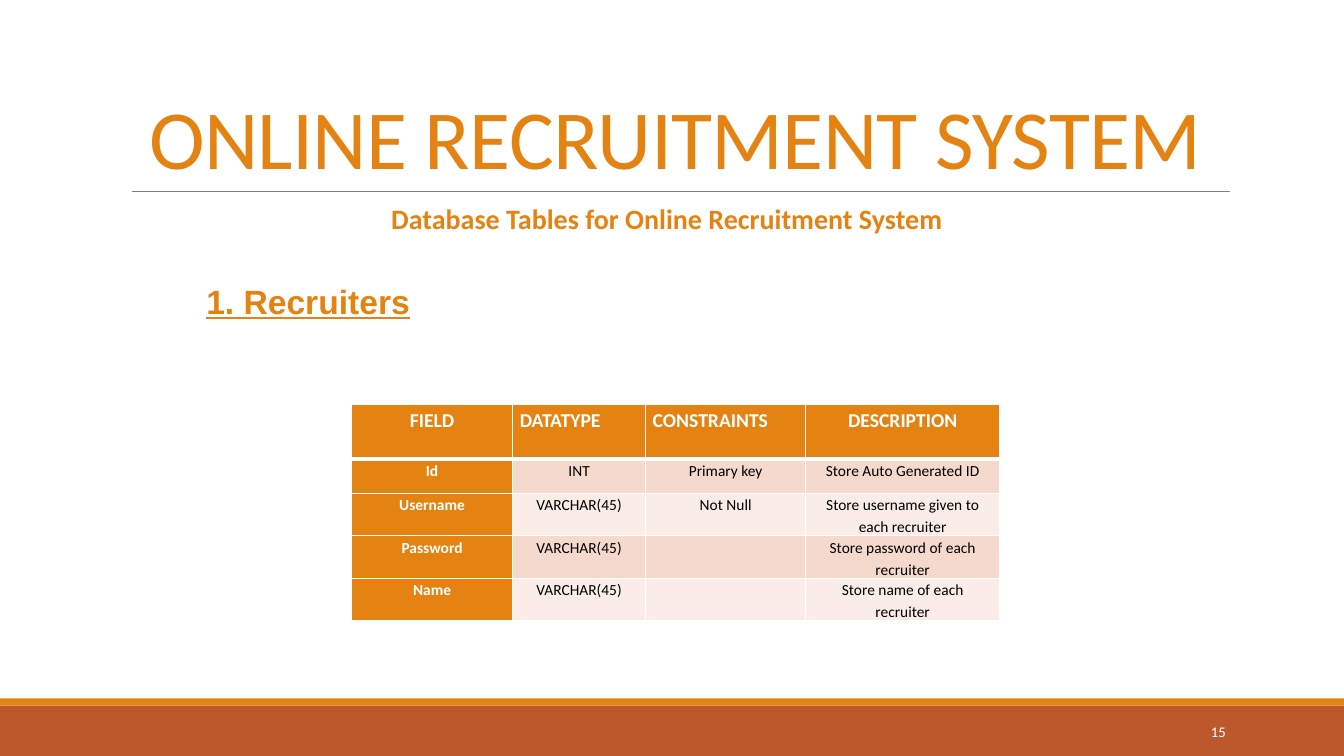
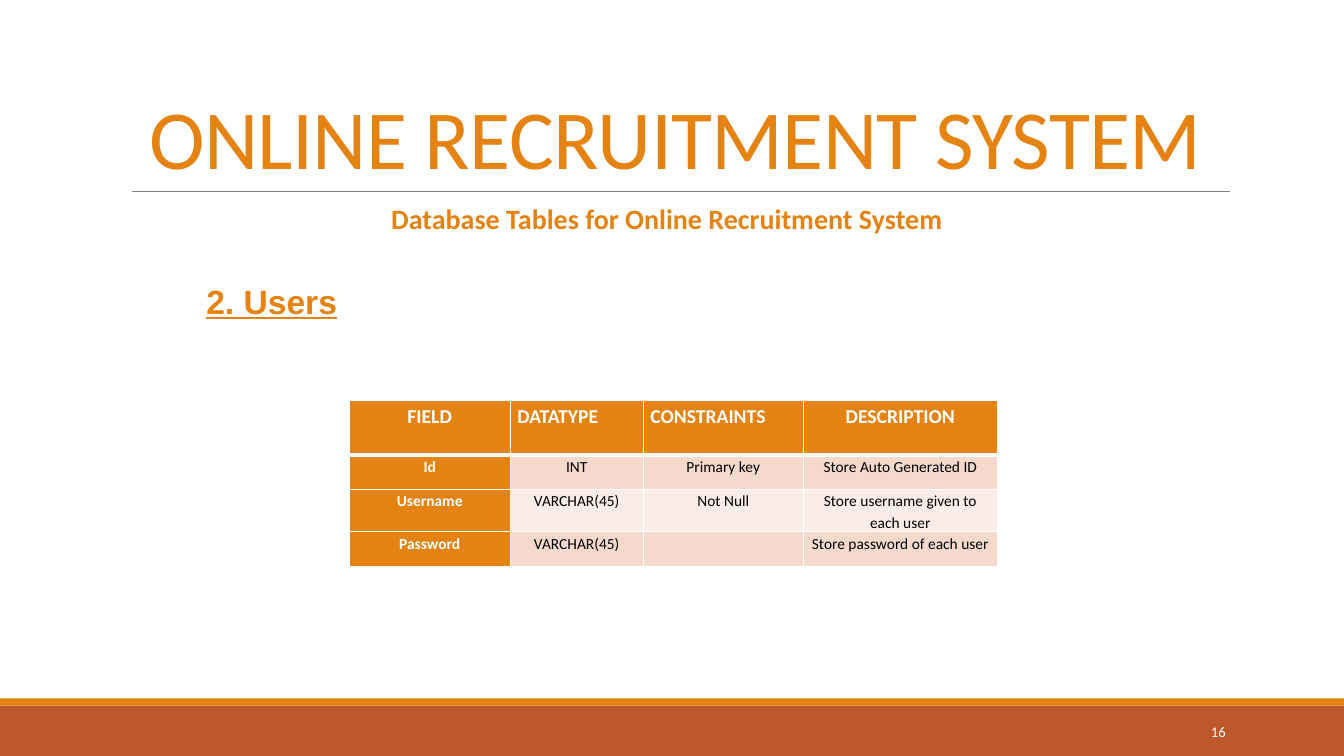
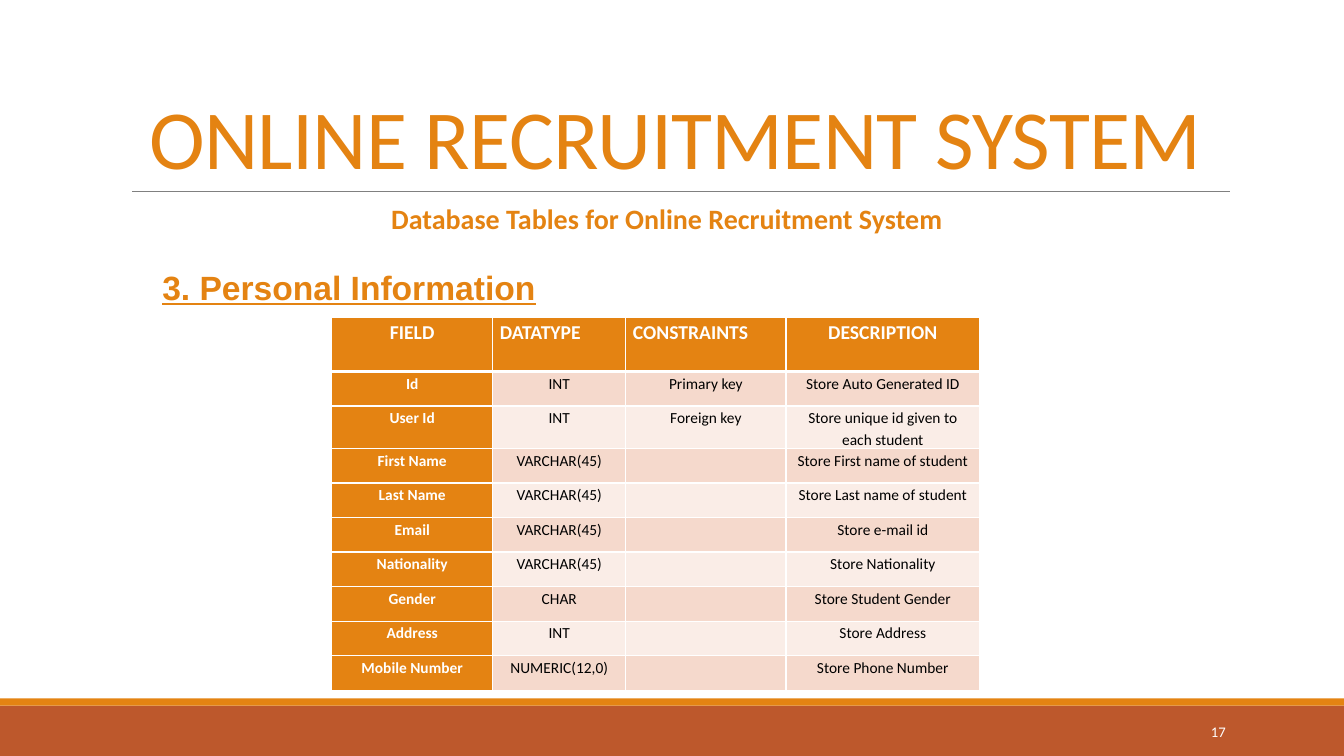
"""Build three slides that list the database tables of a recruitment system."""
from lxml.etree import SubElement
from pptx import Presentation
from pptx.dml.color import RGBColor
from pptx.enum.shapes import MSO_CONNECTOR, MSO_SHAPE
from pptx.enum.text import MSO_ANCHOR, MSO_AUTO_SIZE, PP_ALIGN
from pptx.oxml.ns import qn
from pptx.util import Cm, Pt

ORANGE, RUST, GRAY = "E48312", "BD582C", "808080"
WHITE, BLACK = "FFFFFF", "000000"
TINTS = ["F5D9CC", "FAEDE7"]
WIDTHS = [4.06, 3.35, 4.04, 4.88]
HEADS = ["FIELD", "DATATYPE", "CONSTRAINTS", "DESCRIPTION"]
LEFT, MID, RIGHT = PP_ALIGN.LEFT, PP_ALIGN.CENTER, PP_ALIGN.RIGHT

TABLES = [
    ("1. Recruiters", (4.95, 6.96, 5.69), (8.86, 10.2), [
        ["Id", "INT", "Primary key", "Store Auto Generated ID"],
        ["Username", "VARCHAR(45)", "Not Null", "Store username given to each recruiter"],
        ["Password", "VARCHAR(45)", "", "Store password of each recruiter"],
        ["Name", "VARCHAR(45)", "", "Store name of each recruiter"],
    ]),
    ("2. Users", (4.95, 6.96, 3.84), (8.8, 10.1), [
        ["Id", "INT", "Primary key", "Store Auto Generated ID"],
        ["Username", "VARCHAR(45)", "Not Null", "Store username given to each user"],
        ["Password", "VARCHAR(45)", "", "Store password of each user"],
    ]),
    ("3. Personal Information", (3.84, 6.6, 10), (8.36, 8), [
        ["Id", "INT", "Primary key", "Store Auto Generated ID"],
        ["User Id", "INT", "Foreign key", "Store unique id given to each student"],
        ["First Name", "VARCHAR(45)", "", "Store First name of student"],
        ["Last Name", "VARCHAR(45)", "", "Store Last name of student"],
        ["Email", "VARCHAR(45)", "", "Store e-mail id"],
        ["Nationality", "VARCHAR(45)", "", "Store Nationality"],
        ["Gender", "CHAR", "", "Store Student Gender"],
        ["Address", "INT", "", "Store Address"],
        ["Mobile Number", "NUMERIC(12,0)", "", "Store Phone Number"],
    ]),
]


def hue(code):
    return RGBColor.from_string(code)


def write(frame, text, size, color, align=LEFT, bold=False, face="Calibri"):
    para = frame.paragraphs[0]
    para.alignment = align
    run = para.add_run()
    run.text = text
    run.font.size, run.font.name, run.font.bold = Pt(size), face, bold
    run.font.color.rgb = hue(color)
    return para, run


prs = Presentation()
prs.slide_width, prs.slide_height = Cm(33.87), Cm(19.05)
layout = prs.slide_layouts[5]
slides = [prs.slides.add_slide(layout) for _ in TABLES]

shapes = slides[0].shapes
parts = []
for top, height, color in [(17.78, 1.27, RUST), (17.6, 0.18, ORANGE)]:
    band = shapes.add_shape(MSO_SHAPE.RECTANGLE, 0, Cm(top), Cm(33.87), Cm(height))
    band.shadow.inherit = False
    band.fill.solid()
    band.fill.fore_color.rgb = hue(color)
    band.line.fill.background()
    parts.append(band)
rule = shapes.add_connector(MSO_CONNECTOR.STRAIGHT, Cm(3.33), Cm(4.82), Cm(31), Cm(4.82))
rule.line.color.rgb = hue(GRAY)
rule.line.width = Pt(0.5)
SubElement(rule.element.spPr, qn("a:effectLst"))
parts.append(rule)
for num, part in enumerate(parts, 20):
    part.element.xpath(".//p:cNvPr")[0].set("id", str(num))
    layout.shapes.element.append(part.element)

for page, (slide, (name, spot, place, rows)) in enumerate(zip(slides, TABLES), 15):
    shapes = slide.shapes
    title = shapes.title
    title.left, title.top, title.width, title.height = Cm(3.05), Cm(0.79), Cm(27.94), Cm(4.04)
    title.text_frame.auto_size = MSO_AUTO_SIZE.NONE
    title.text_frame.vertical_anchor = MSO_ANCHOR.BOTTOM
    para, run = write(title.text_frame, "ONLINE RECRUITMENT SYSTEM", 60, ORANGE, MID)
    para.line_spacing = 0.85
    run.font._element.set("spc", "-50")

    frame = shapes.add_textbox(Cm(27.51), Cm(17.93), Cm(3.63), Cm(1.02)).text_frame
    frame.vertical_anchor = MSO_ANCHOR.MIDDLE
    write(frame, str(page), 10.5, WHITE, RIGHT)

    frame = shapes.add_textbox(Cm(4.27), Cm(4.95), Cm(25.07), Cm(1.12)).text_frame
    frame.word_wrap = True
    write(frame, "Database Tables for Online Recruitment System", 20, ORANGE, MID, True)

    left, top, width = spot
    frame = shapes.add_textbox(Cm(left), Cm(top), Cm(width), Cm(1.27)).text_frame
    frame.word_wrap = False
    para, run = write(frame, name, 24, ORANGE, LEFT, True, "Arial")
    run.font.underline = True

    left, top = place
    table = shapes.add_table(len(rows) + 1, len(HEADS), Cm(left), Cm(top),
                             Cm(sum(WIDTHS)), Cm(1.36 + 0.87 * len(rows))).table
    for col, width in zip(table.columns, WIDTHS):
        col.width = Cm(width)
    for r, row in enumerate([HEADS] + rows):
        table.rows[r].height = Cm(0.87 if r else 1.36)
        for c, text in enumerate(row):
            cell = table.cell(r, c)
            cell.margin_left = cell.margin_right = Cm(0.18)
            cell.margin_top = cell.margin_bottom = 0
            props = cell._tc.get_or_add_tcPr()
            for side in "LRTB":
                thick = (r, side) in [(0, "B"), (1, "T")]
                edge = SubElement(props, qn("a:ln" + side), w=str(Pt(3 if thick else 1)))
                fill = SubElement(edge, qn("a:solidFill"))
                SubElement(fill, qn("a:srgbClr"), val=WHITE)
            strong = r == 0 or c == 0
            cell.fill.solid()
            cell.fill.fore_color.rgb = hue(ORANGE if strong else TINTS[(r - 1) % 2])
            if text:
                align = LEFT if r == 0 and c in (1, 2) else MID
                para, run = write(cell.text_frame, text, 11 if r else 14,
                                  WHITE if strong else BLACK, align, strong)
                para.line_spacing = 1.15

prs.save("out.pptx")
